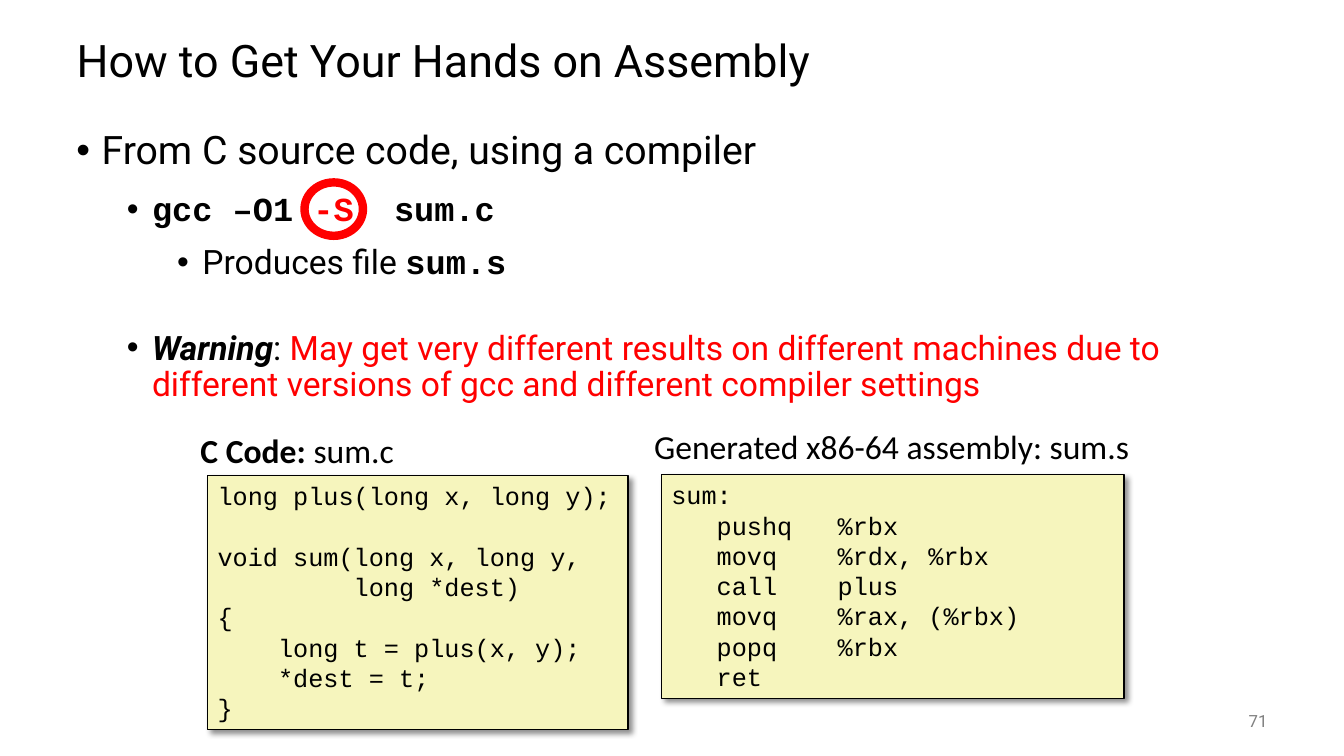
from dataclasses import dataclass, field

from lxml import etree
from pptx import Presentation
from pptx import util as u
from pptx.dml.color import RGBColor
from pptx.enum import shapes, text
from pptx.oxml import ns, parse_xml

BLACK = RGBColor(0x00, 0x00, 0x00)
RED = RGBColor(0xFF, 0x00, 0x00)
GREY = RGBColor(0x80, 0x80, 0x80)
CREAM = RGBColor(0xF6, 0xF5, 0xBD)

SANS, MONO, LABEL = "Roboto", "Courier New", "Calibri"
CODE_LINE = 21.6

SHADOW = (
    f'<a:effectLst {ns.nsdecls("a")}>'
    '<a:outerShdw blurRad="50800" dist="38100" dir="2700000" algn="tl" rotWithShape="0">'
    '<a:srgbClr val="000000"><a:alpha val="43000"/></a:srgbClr>'
    "</a:outerShdw></a:effectLst>"
)


@dataclass
class Span:
    words: str
    font: str = SANS
    size: float = 24
    color: RGBColor = BLACK
    style: dict = field(default_factory=dict)


@dataclass
class Bullet:
    level: int
    before: float
    spans: list[Span]


@dataclass
class Listing:
    label: list[Span]
    label_at: tuple[float, float, float, float]
    code: str
    code_at: tuple[float, float, float, float]


BOLD = {"bold": True}

BULLETS = [
    Bullet(0, 0, [Span("From C source code, using a compiler", size=28)]),
    Bullet(1, 14, [
        Span("gcc –O1 ", MONO, style=BOLD),
        Span("-S  ", MONO, color=RED, style=BOLD),
        Span("sum.c", MONO, style=BOLD),
    ]),
    Bullet(2, 12, [Span("Produces file "), Span("sum.s", MONO, style=BOLD)]),
    Bullet(1, 35, [
        Span("Warning", style={"bold": True, "italic": True}),
        Span(": "),
        Span(
            "May get very different results on different machines due to "
            "different versions of gcc and different compiler settings",
            color=RED,
        ),
    ]),
]

C_CODE = """long plus(long x, long y);

void sum(long x, long y,
         long *dest)
{
    long t = plus(x, y);
    *dest = t;
}"""

ASSEMBLY = """sum:
   pushq   %rbx
   movq    %rdx, %rbx
   call    plus
   movq    %rax, (%rbx)
   popq    %rbx
   ret"""

LISTINGS = [
    Listing(
        [Span("C Code: ", LABEL, style=BOLD), Span("sum.c", LABEL)],
        (1.89, 4.22, 4.33, 0.4), C_CODE, (2.06, 4.72, 4.17, 2.52),
    ),
    Listing(
        [Span("Generated x86-64 assembly: sum.s", LABEL)],
        (6.39, 4.18, 5, 0.45), ASSEMBLY, (6.56, 4.71, 4.59, 2.22),
    ),
]


def apply(target, values: dict) -> None:
    for name, value in values.items():
        setattr(target, name, value)


def inches(at: tuple) -> list:
    return [u.Inches(value) for value in at]


def write(para, spans: list[Span], **layout) -> None:
    apply(para, {"alignment": text.PP_ALIGN.LEFT, **layout})
    for span in spans:
        run = para.add_run()
        run.text = span.words
        apply(run.font, {"name": span.font, "size": u.Pt(span.size), **span.style})
        run.font.color.rgb = span.color


def set_frame(frame, anchor=text.MSO_ANCHOR.TOP) -> None:
    apply(frame, {
        "word_wrap": True,
        "auto_size": text.MSO_AUTO_SIZE.NONE,
        "vertical_anchor": anchor,
    })


def add_box(page, at: tuple, anchor=text.MSO_ANCHOR.TOP):
    box = page.shapes.add_textbox(*inches(at))
    set_frame(box.text_frame, anchor)
    return box.text_frame


def next_para(frame, index: int):
    return frame.add_paragraph() if index else frame.paragraphs[0]


def add_title(page) -> None:
    title = page.shapes.title
    apply(title, dict(zip(("left", "top", "width", "height"), inches((0.66, 0.25, 12, 0.75)))))
    set_frame(title.text_frame, text.MSO_ANCHOR.MIDDLE)
    write(title.text_frame.paragraphs[0],
          [Span("How to Get Your Hands on Assembly", size=32)], line_spacing=0.9)


def add_bullets(page) -> None:
    frame = add_box(page, (0.66, 1.25, 12, 2.97))
    for index, bullet in enumerate(BULLETS):
        para = next_para(frame, index)
        para.level = bullet.level
        props = para._p.get_or_add_pPr()
        props.set("marL", str(u.Inches(0.25 + 0.5 * bullet.level)))
        props.set("indent", str(u.Inches(-0.25)))
        etree.SubElement(props, ns.qn("a:buFont")).set("typeface", "Arial")
        etree.SubElement(props, ns.qn("a:buChar")).set("char", "•")
        write(para, bullet.spans, line_spacing=0.9, space_before=u.Pt(bullet.before))


def add_flag_ring(page) -> None:
    ring = page.shapes.add_shape(shapes.MSO_SHAPE.OVAL, *inches((3.02, 1.81, 0.58, 0.53)))
    ring.shadow.inherit = False
    ring.fill.background()
    ring.line.color.rgb = RED
    ring.line.width = u.Pt(6)


def add_listing(page, listing: Listing) -> None:
    write(add_box(page, listing.label_at).paragraphs[0], listing.label)
    panel = page.shapes.add_shape(shapes.MSO_SHAPE.RECTANGLE, *inches(listing.code_at))
    panel.fill.solid()
    panel.fill.fore_color.rgb = CREAM
    panel.line.color.rgb = BLACK
    panel.line.width = u.Pt(1)
    panel._element.spPr.append(parse_xml(SHADOW))
    frame = panel.text_frame
    set_frame(frame)
    gap = 0
    for index, line in enumerate(listing.code.splitlines()):
        if not line:
            gap += CODE_LINE
            continue
        write(next_para(frame, index), [Span(line, MONO, 18)],
              line_spacing=u.Pt(CODE_LINE), space_before=u.Pt(gap))
        gap = 0


def main() -> None:
    deck = Presentation()
    deck.slide_width, deck.slide_height = inches((13.33, 7.5))
    page = deck.slides.add_slide(deck.slide_layouts[5])
    add_title(page)
    add_bullets(page)
    add_flag_ring(page)
    for listing in LISTINGS:
        add_listing(page, listing)
    number = add_box(page, (11.67, 6.95, 1, 0.4), text.MSO_ANCHOR.MIDDLE)
    write(number.paragraphs[0], [Span("71", size=12, color=GREY)],
          alignment=text.PP_ALIGN.RIGHT)
    deck.save("out.pptx")


if __name__ == "__main__":
    main()
